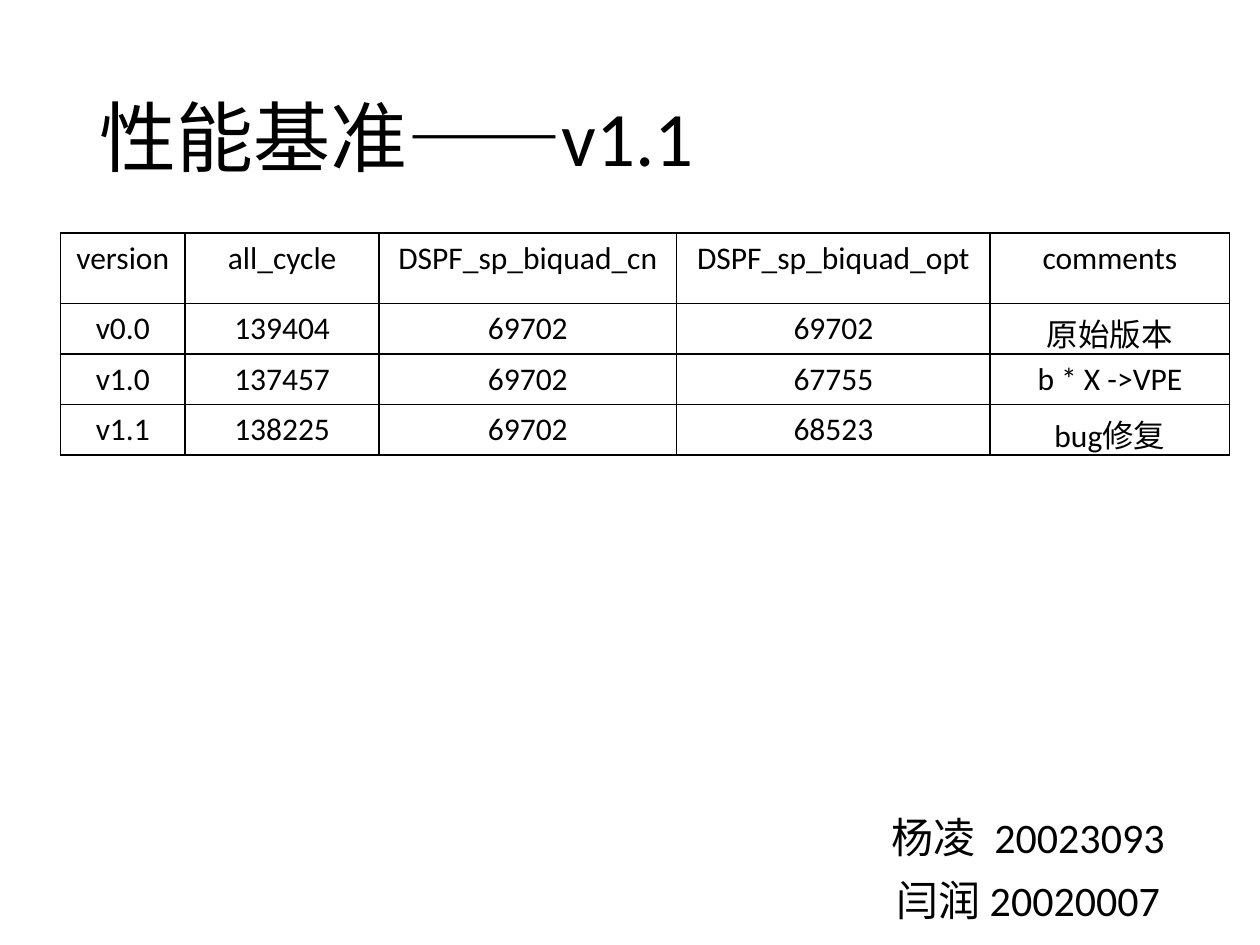
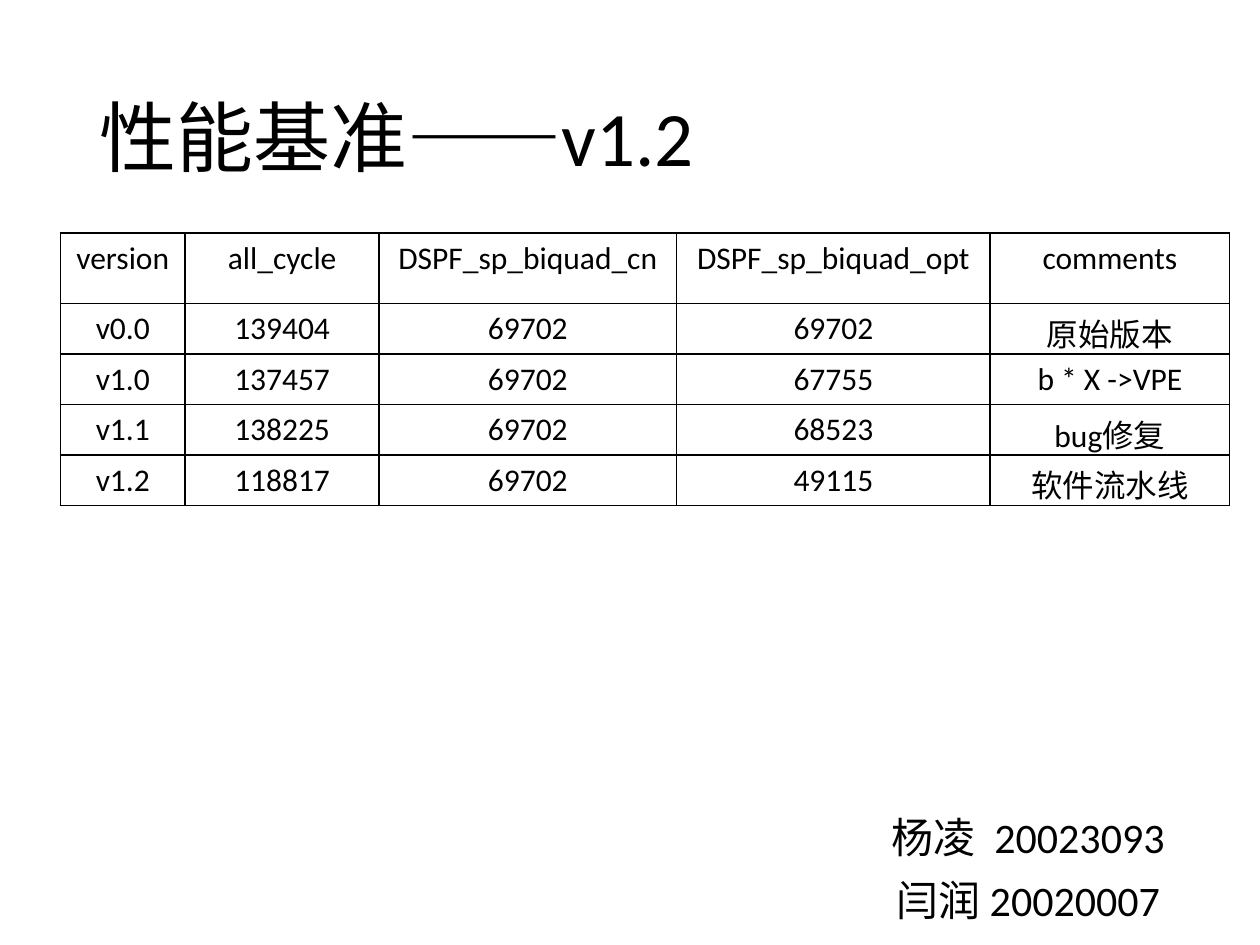
from lxml.etree import SubElement
from pptx import Presentation
from pptx.dml.color import RGBColor
from pptx.enum.text import MSO_ANCHOR as Anchor, PP_ALIGN as Align
from pptx.oxml.ns import qn
from pptx.util import Inches, Pt

FONT = "Calibri"
INK = "000000"
PAPER = "FFFFFF"
TITLE_BOX = (0.69, 0.4, 8.62, 1.45)
AUTHORS_BOX = (6.32, 6.44, 3.68, 1.06)
TABLE_BOX = (0.48, 1.85)
COLUMN_WIDTHS = (0.99, 1.54, 2.36, 2.49, 1.9)
HEADER_HEIGHT = 0.56
ROW_HEIGHT = 0.35
AUTHORS = (("杨凌", "20023093", 5.4), ("闫润", "20020007", 0))
HEADER = ("version", "all_cycle", "DSPF_sp_biquad_cn", "DSPF_sp_biquad_opt", "comments")
RESULTS = (
    ("v0.0", "139404", "69702", "69702", "原始版本"),
    ("v1.0", "137457", "69702", "67755", "b * X ->VPE"),
    ("v1.1", "138225", "69702", "68523", "bug修复"),
    ("v1.2", "118817", "69702", "49115", "软件流水线"),
)


def color(value):
    """Turn a hex string into a colour."""
    return RGBColor.from_string(value)


def add_run(paragraph, text, size):
    """Add one run in the shared font and ink."""
    run = paragraph.add_run()
    run.text = text
    run.font.name = FONT
    run.font.size = Pt(size)
    run.font.color.rgb = color(INK)
    return run


def add_text_frame(slide, box, anchor):
    """Add a wrapping text box and return its frame."""
    frame = slide.shapes.add_textbox(*map(Inches, box)).text_frame
    frame.word_wrap = True
    frame.vertical_anchor = anchor
    return frame


def add_title(slide, box, version):
    """Add the slide title for a version."""
    paragraph = add_text_frame(slide, box, Anchor.MIDDLE).paragraphs[0]
    paragraph.line_spacing = 0.9
    add_run(paragraph, f"性能基准——{version}", 44)


def add_authors(slide, box):
    """Add the authors with their numbers, one a line."""
    frame = add_text_frame(slide, box, Anchor.TOP)
    for index, (name, number, gap) in enumerate(AUTHORS):
        paragraph = frame.add_paragraph() if index else frame.paragraphs[0]
        paragraph.alignment = Align.CENTER
        paragraph.line_spacing = 0.9
        paragraph.space_before = Pt(10)
        add_run(paragraph, name, 24)
        space = add_run(paragraph, " ", 24)
        space._r.get_or_add_rPr().set("spc", str(round(gap * 100)))
        add_run(paragraph, number, 24)


def style_cell(cell):
    """Give a cell thin borders on all sides and a plain fill."""
    properties = cell._tc.get_or_add_tcPr()
    for side in ("a:lnL", "a:lnR", "a:lnT", "a:lnB"):
        line = SubElement(properties, qn(side), w=str(Pt(1)))
        fill = SubElement(line, qn("a:solidFill"))
        SubElement(fill, qn("a:srgbClr"), val=INK)
    cell.fill.solid()
    cell.fill.fore_color.rgb = color(PAPER)


def add_results_table(slide, box, results):
    """Add the cycle counts below a header row."""
    rows = (HEADER, *results)
    heights = [HEADER_HEIGHT] + [ROW_HEIGHT] * len(results)
    size = (sum(COLUMN_WIDTHS), sum(heights))
    frame = slide.shapes.add_table(len(rows), len(HEADER), *map(Inches, box + size))
    table = frame.table
    for column, width in zip(table.columns, COLUMN_WIDTHS):
        column.width = Inches(width)
    for row, height, values in zip(table.rows, heights, rows):
        row.height = Inches(height)
        for cell, value in zip(row.cells, values):
            style_cell(cell)
            paragraph = cell.text_frame.paragraphs[0]
            paragraph.alignment = Align.CENTER
            add_run(paragraph, value, 18)


def add_benchmark_slide(presentation, results):
    """Add a slide with the results up to its newest version."""
    slide = presentation.slides.add_slide(presentation.slide_layouts[6])
    slide.background.fill.solid()
    slide.background.fill.fore_color.rgb = color(PAPER)
    add_authors(slide, AUTHORS_BOX)
    add_title(slide, TITLE_BOX, results[-1][0])
    add_results_table(slide, TABLE_BOX, results)


def main():
    """Build and save the presentation."""
    presentation = Presentation()
    presentation.slide_width = Inches(10)
    presentation.slide_height = Inches(7.5)
    for count in (3, 4):
        add_benchmark_slide(presentation, RESULTS[:count])
    presentation.save("out.pptx")


if __name__ == "__main__":
    main()
